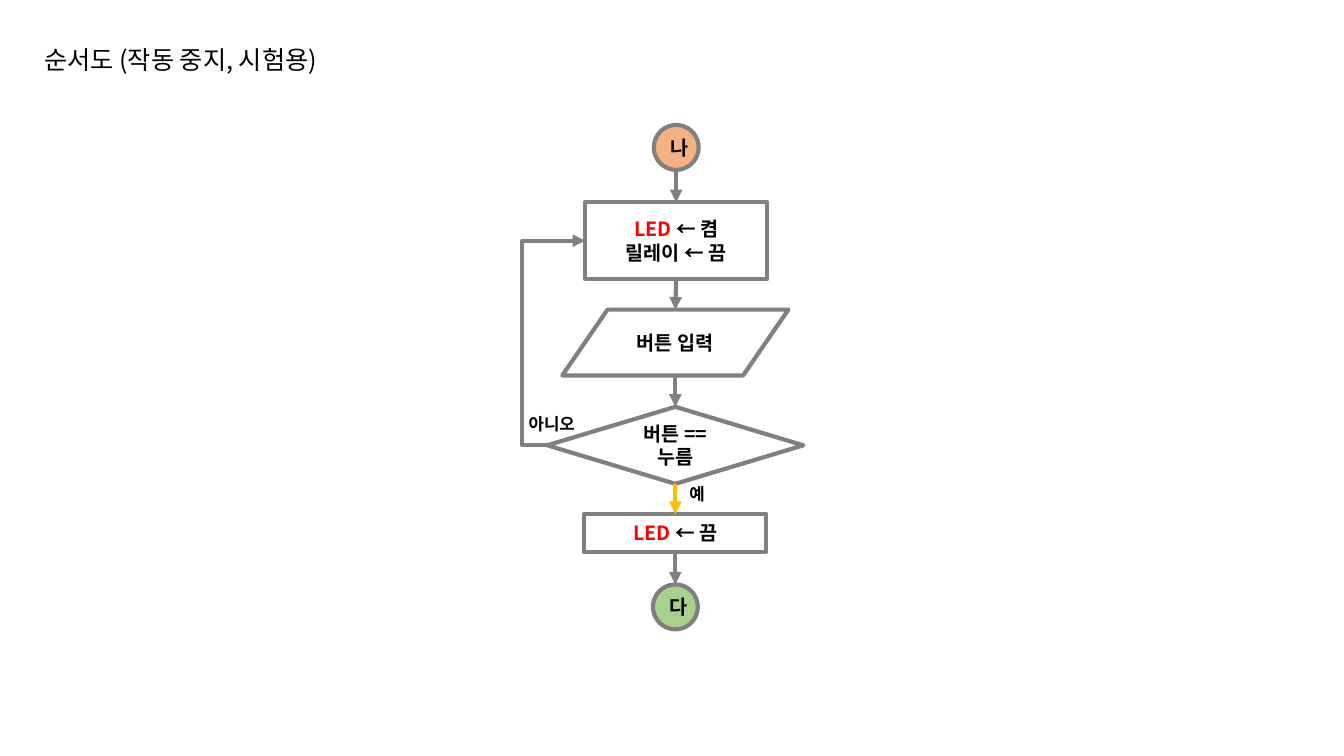
import pptx
import pptx.util
import pptx.dml.color
import pptx.enum.shapes
import pptx.enum.text
import pptx.oxml.ns
from lxml import etree

Pt = pptx.util.Pt
RGBColor = pptx.dml.color.RGBColor
SHAPE = pptx.enum.shapes.MSO_SHAPE
CONNECTOR = pptx.enum.shapes.MSO_CONNECTOR
ALIGN = pptx.enum.text.PP_ALIGN
ANCHOR = pptx.enum.text.MSO_ANCHOR
qn = pptx.oxml.ns.qn

FONT = "Noto Sans CJK KR"
BLACK = RGBColor(0x00, 0x00, 0x00)
RED = RGBColor(0xFF, 0x00, 0x00)
GRAY = RGBColor(0x80, 0x80, 0x80)
GOLD = RGBColor(0xFF, 0xC0, 0x00)
ORANGE = RGBColor(0xF4, 0xB1, 0x83)
GREEN = RGBColor(0xA9, 0xD1, 0x8E)
LINE_WIDTH = 3

# Content: lines are lists of (text, colour)
TITLE = "순서도 (작동 중지, 시험용)"
# Steps: shape, centre x, top, width, height, fill, lines
STEPS = [
    (SHAPE.OVAL, 483, 89.3, 32, 32, ORANGE, [[("나", BLACK)]]),
    (SHAPE.FLOWCHART_PROCESS, 483, 144.5, 130, 55, None,
     [[("LED ", RED), ("← 켬", BLACK)], [("릴레이 ← 끔", BLACK)]]),
    (SHAPE.FLOWCHART_DATA, 482.4, 221.2, 161.5, 47, None, [[("버튼 입력", BLACK)]]),
    (SHAPE.FLOWCHART_DECISION, 482.4, 290.6, 183, 55, None,
     [[("버튼 ==", BLACK)], [("누름", BLACK)]]),
    (SHAPE.FLOWCHART_PROCESS, 482.4, 367.2, 130, 27, None,
     [[("LED ", RED), ("← 끔", BLACK)]]),
    (SHAPE.OVAL, 482.4, 417.5, 32, 32, GREEN, [[("다", BLACK)]]),
]
ARROW_COLORS = [GRAY, GRAY, GRAY, GOLD, GRAY]
# Labels: text, left, top, width, height
LABELS = [("예", 484.6, 342, 26.6, 21.8), ("아니오", 368.6, 292.3, 51.1, 21.8)]
LOOP_X = 373
BLOCK, DECISION = 1, 3
JOINABLE = (SHAPE.FLOWCHART_PROCESS, SHAPE.FLOWCHART_DECISION)


def write(frame, lines, size, bold, align):
    for index, line in enumerate(lines):
        para = frame.paragraphs[0] if index == 0 else frame.add_paragraph()
        para.alignment = align
        para.font.size = Pt(size)
        para.font.bold = bold
        para.font.name = FONT
        for text, color in line:
            span = para.add_run()
            span.text = text
            span.font.color.rgb = color
        # Korean letters take the East Asian typeface
        for props in para._p.iter(qn("a:defRPr"), qn("a:rPr")):
            etree.SubElement(props, qn("a:ea"), typeface=FONT)


def add_text(page, text, left, top, width, height, size, bold, align, wrap):
    box = page.shapes.add_textbox(Pt(left), Pt(top), Pt(width), Pt(height))
    box.text_frame.word_wrap = wrap
    write(box.text_frame, [[(text, BLACK)]], size, bold, align)


def add_step(page, kind, center, top, width, height, fill, lines):
    shape = page.shapes.add_shape(
        kind, Pt(center - width / 2), Pt(top), Pt(width), Pt(height))
    shape.shadow.inherit = False
    if fill is None:
        shape.fill.background()
    else:
        shape.fill.solid()
        shape.fill.fore_color.rgb = fill
    shape.line.color.rgb = GRAY
    shape.line.width = Pt(LINE_WIDTH)
    shape.text_frame.word_wrap = True
    shape.text_frame.vertical_anchor = ANCHOR.MIDDLE
    write(shape.text_frame, lines, 14, True, ALIGN.CENTER)
    return shape


def add_arrow(page, kind, start, end, color):
    arrow = page.shapes.add_connector(kind, *start, *end)
    arrow.line.color.rgb = color
    arrow.line.width = Pt(LINE_WIDTH)
    etree.SubElement(arrow.line._get_or_add_ln(), qn("a:tailEnd"), type="triangle")
    etree.SubElement(arrow._element.spPr, qn("a:effectLst"))
    return arrow


def main():
    deck = pptx.Presentation()
    deck.slide_width, deck.slide_height = Pt(960), Pt(540)
    page = deck.slides.add_slide(deck.slide_layouts[6])

    # Title
    add_text(page, TITLE, 24.5, 28, 230.4, 29, 18, False, ALIGN.LEFT, True)

    # Steps, top to bottom
    shapes = [add_step(page, *step) for step in STEPS]

    # Arrows between neighbouring steps
    for index, color in enumerate(ARROW_COLORS):
        upper, lower = shapes[index], shapes[index + 1]
        start = (upper.left + upper.width // 2, upper.top + upper.height)
        end = (lower.left + lower.width // 2, lower.top)
        arrow = add_arrow(page, CONNECTOR.STRAIGHT, start, end, color)
        if STEPS[index][0] in JOINABLE:
            arrow.begin_connect(upper, 2)
        if STEPS[index + 1][0] in JOINABLE:
            arrow.end_connect(lower, 0)

    # Loop back from the decision to the first block
    start, end = [(shapes[i].left, shapes[i].top + shapes[i].height // 2)
                  for i in (DECISION, BLOCK)]
    loop = add_arrow(page, CONNECTOR.ELBOW, start, end, GRAY)
    bend = round((Pt(LOOP_X) - start[0]) / (end[0] - start[0]) * 100000)
    guides = loop._element.spPr.find(qn("a:prstGeom")).get_or_add_avLst()
    etree.SubElement(guides, qn("a:gd"), name="adj1", fmla=f"val {bend}")

    # Branch labels
    for label in LABELS:
        add_text(page, *label, 12, True, ALIGN.CENTER, False)

    deck.save("out.pptx")


if __name__ == "__main__":
    main()
